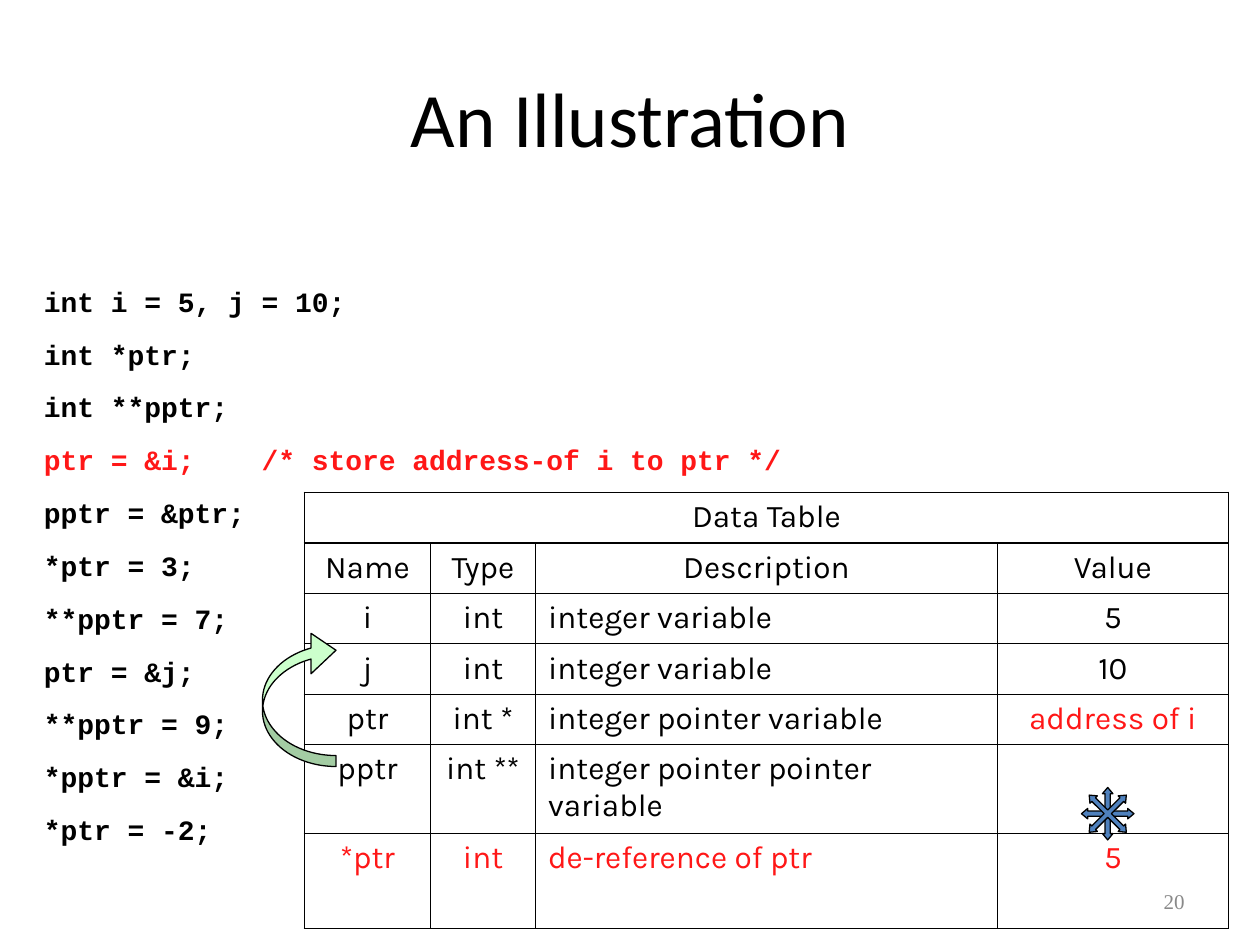
from pptx import Presentation
from pptx.dml.color import RGBColor as Color
from pptx.enum.shapes import MSO_SHAPE as Kind
from pptx.enum.text import MSO_ANCHOR as Anchor, PP_ALIGN as Align
from pptx.oxml import parse_xml
from pptx.oxml.ns import nsdecls
from pptx.util import Inches, Pt

COLS, ROWS = 120, 90

CODE = [
    "int i = 5, j = 10;",
    "int *ptr;",
    "int **pptr;",
    "ptr = &i;    /* store address-of i to ptr */",
    "pptr = &ptr;",
    "*ptr = 3;",
    "**pptr = 7;",
    "ptr = &j;",
    "**pptr = 9;",
    "*pptr = &i;",
    "*ptr = -2;",
]
DATA = [
    ["Data Table", "", "", ""],
    ["Name", "Type", "Description", "Value"],
    ["i", "int", "integer variable", "5"],
    ["j", "int", "integer variable", "10"],
    ["ptr", "int *", "integer pointer variable", "address of i"],
    ["pptr", "int **", "integer pointer pointer variable", ""],
    ["*ptr", "int", "de-reference of ptr", "5"],
]
RED_CELLS = {(4, 3), (6, 0), (6, 1), (6, 2), (6, 3)}


class Deck:
    colors = {"ink": "000000", "red": "FF1717", "gray": "898989",
              "blue": "4F81BD", "green": "CCFFCC"}
    thick, thin = 1.08, 0.45

    def __init__(self):
        self.prs = Presentation()
        self.prs.slide_width, self.prs.slide_height = Inches(10), Inches(7.5)
        self.slide = self.prs.slides.add_slide(self.prs.slide_layouts[5])

    def x(self, n):
        return int(self.prs.slide_width * n / COLS)

    def y(self, n):
        return int(self.prs.slide_height * n / ROWS)

    def box(self, left, top, wide, high):
        return self.x(left), self.y(top), self.x(wide), self.y(high)

    def color(self, name):
        return Color.from_string(self.colors[name])

    def style(self, para, face, size, color="ink", bold=False, align=Align.LEFT):
        para.alignment = align
        for run in para.runs:
            font = run.font
            font.name, font.size, font.bold = face, Pt(size), bold
            font.color.rgb = self.color(color)

    def title(self, text, *place):
        shape = self.slide.shapes.title
        shape.left, shape.top, shape.width, shape.height = self.box(*place)
        frame = shape.text_frame
        frame.text = text
        frame.vertical_anchor = Anchor.MIDDLE
        self.style(frame.paragraphs[0], "Calibri", 44, align=Align.CENTER)

    def text(self, text, *place):
        frame = self.slide.shapes.add_textbox(*self.box(*place)).text_frame
        frame.word_wrap = True
        frame.text = text
        return frame

    def number(self, text, *place):
        frame = self.text(text, *place)
        frame.vertical_anchor = Anchor.MIDDLE
        self.style(frame.paragraphs[0], "Times New Roman", 12, "gray", align=Align.RIGHT)

    def code(self, lines, *place):
        frame = self.text("\n".join(lines), *place)
        frame.margin_top = Inches(0.09)
        for i, para in enumerate(frame.paragraphs):
            if i:
                para.space_before = Pt(11)
            color = "red" if "/*" in para.text else "ink"
            self.style(para, "Courier New", 16, color, bold=True)

    def edges(self, cell, sides):
        props = cell._tc.get_or_add_tcPr()
        for i, (side, heavy) in enumerate(sides.items()):
            width = Pt(self.thick if heavy else self.thin)
            props.insert(i, parse_xml(
                f'<a:ln{side} {nsdecls("a")} w="{width}"><a:solidFill>'
                f'<a:srgbClr val="{self.colors["ink"]}"/></a:solidFill></a:ln{side}>'))

    def table(self, data, widths, heights, left, top):
        place = self.box(left, top, sum(widths), sum(heights))
        table = self.slide.shapes.add_table(len(data), len(widths), *place).table
        table.first_row = table.horz_banding = False
        for col, wide in zip(table.columns, widths):
            col.width = self.x(wide)
        for row, high in zip(table.rows, heights):
            row.height = self.y(high)
        table.cell(0, 0).merge(table.cell(0, len(widths) - 1))
        end, last = len(data) - 1, len(widths) - 1
        for r, words in enumerate(data):
            for c, word in enumerate(words):
                cell = table.cell(r, c)
                cell.fill.background()
                if word:
                    cell.text = word
                align = Align.LEFT if c == 2 and r > 1 else Align.CENTER
                color = "red" if (r, c) in RED_CELLS else "ink"
                self.style(cell.text_frame.paragraphs[0], "Karla", 18, color, align=align)
                self.edges(cell, {"L": c == 0, "R": c == last,
                                  "T": r < 3, "B": r < 2 or r == end})

    def shape(self, kind, fill, turn, adjust, *place):
        shape = self.slide.shapes.add_shape(kind, *self.box(*place))
        shape.shadow.inherit = False
        shape.rotation = turn
        shape.fill.solid()
        shape.fill.fore_color.rgb = self.color(fill)
        shape.line.color.rgb = self.color("ink")
        shape.line.width = Pt(0.75)
        for i, value in enumerate(adjust):
            shape.adjustments[i] = value


def main():
    deck = Deck()
    deck.title("An Illustration", 6, 3.6, 108, 15)
    deck.number("20", 86, 83.4, 28, 4.8)
    deck.code(CODE, 3, 26, 112, 53)
    deck.table(DATA, [12, 10, 44, 22], [4.8] * 5 + [8.4, 9.1], 29, 46.9)
    for turn in (0, 45):
        deck.shape(Kind.QUAD_ARROW, "blue", turn, (0.1, 0.1, 0.12), 103, 75, 5, 5)
    deck.shape(Kind.CURVED_LEFT_ARROW, "green", 180, (0.15, 0.55, 0.34), 25, 60, 7, 13)
    deck.prs.save("out.pptx")


if __name__ == "__main__":
    main()
